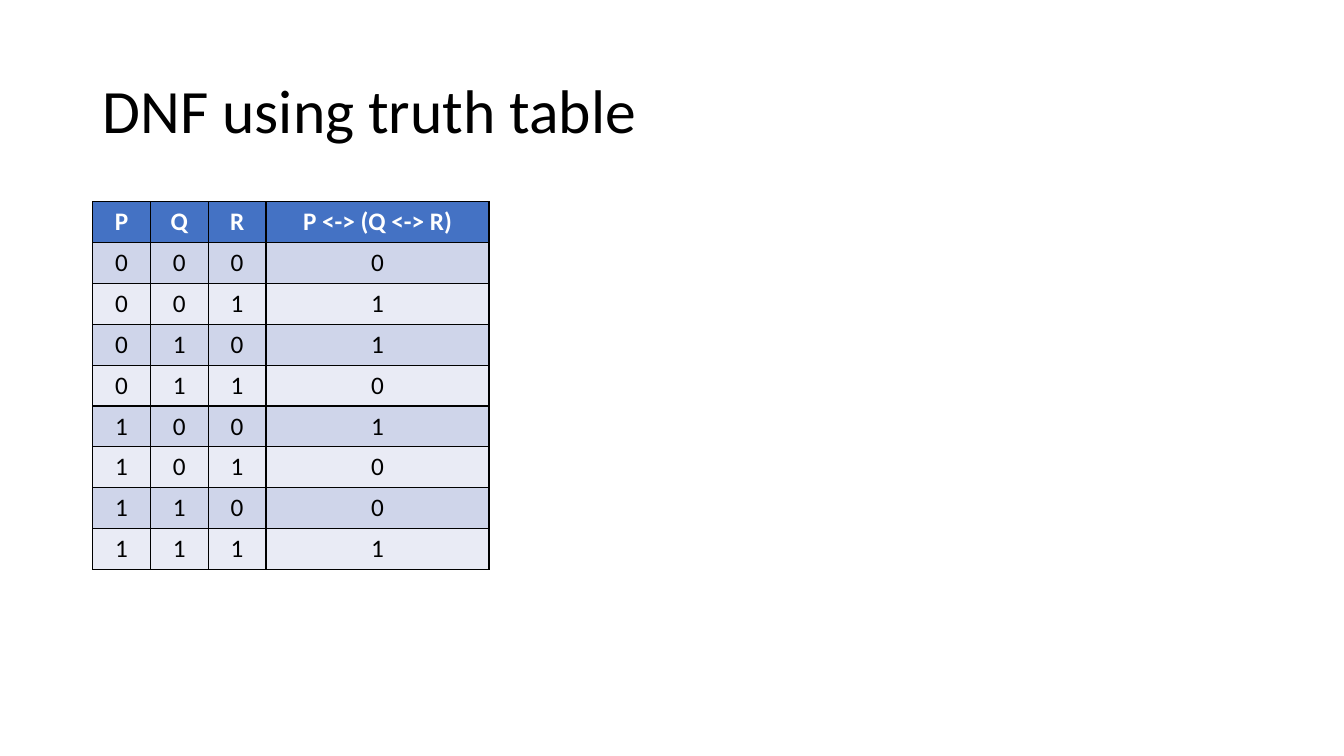
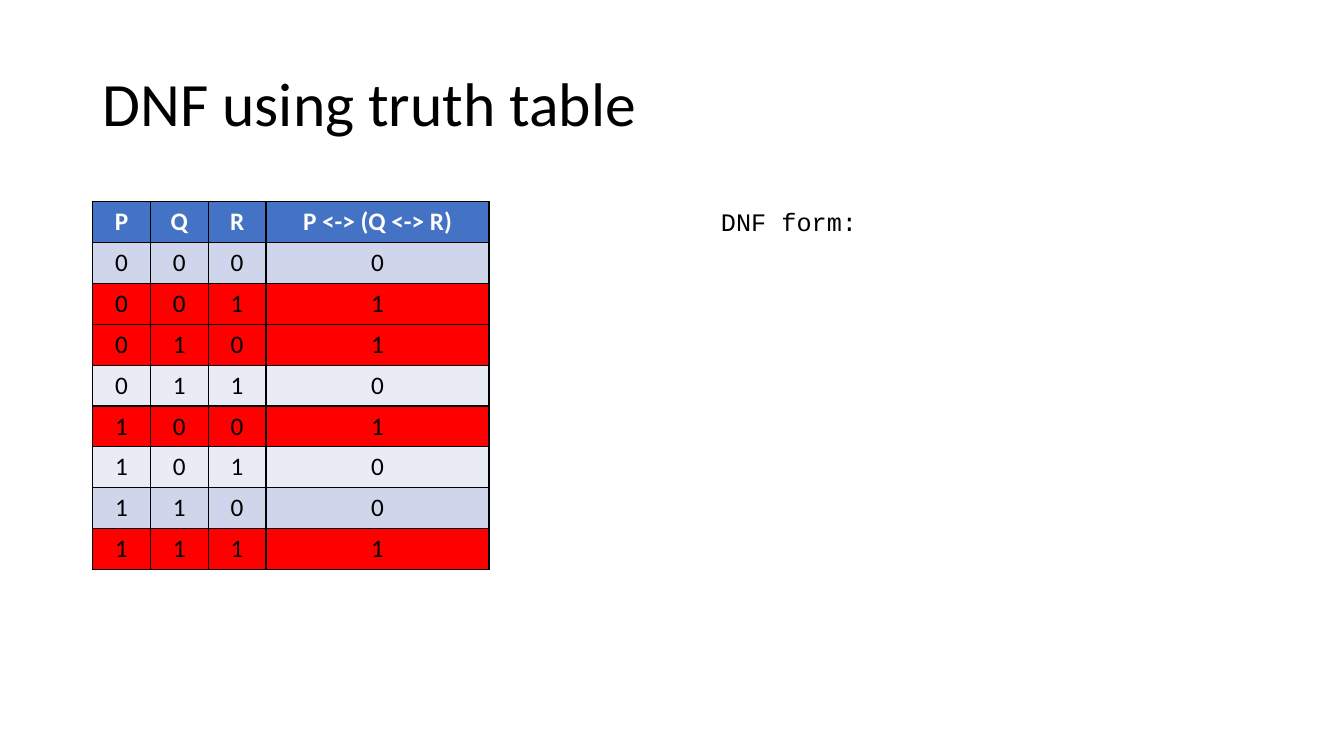
from dataclasses import dataclass
from itertools import product

from lxml.etree import SubElement
from pptx import Presentation
from pptx.dml.color import RGBColor
from pptx.enum.text import MSO_ANCHOR, PP_ALIGN
from pptx.oxml.ns import qn
from pptx.util import Inches, Pt


@dataclass(frozen=True)
class Theme:
    text: str = "000000"
    header_text: str = "FFFFFF"
    header_fill: str = "4472C4"
    odd_row: str = "CFD5EA"
    even_row: str = "E9EBF5"
    highlight: str = "FF0000"
    border: str = "000000"
    border_width: float = 1
    body_font: str = "Calibri"
    code_font: str = "Courier New"
    title_size: int = 44
    body_size: int = 18


THEME = Theme()
SLIDE_WIDTH, SLIDE_HEIGHT = Inches(13.33), Inches(7.5)

# Positions and sizes are percentages of the slide's width or height.
LEFT = 6.9
TITLE_WIDTH, TITLE_HEIGHT = 86.27, 19.33
CONTENT_TOP = 26.67
TABLE_HEIGHT = 48.67
COLUMN_WIDTHS = (4.3, 4.3, 4.3, 16.6)
NOTE_LEFT, NOTE_WIDTH, NOTE_HEIGHT = 52.9, 40.2, 5.33

HEADER = ("P", "Q", "R", "P <-> (Q <-> R)")
TRUTH_ROWS = [(p, q, r, int(p == (q == r))) for p, q, r in product((0, 1), repeat=3)]


def across(percent):
    return round(SLIDE_WIDTH * percent / 100)


def down(percent):
    return round(SLIDE_HEIGHT * percent / 100)


def style_runs(paragraph, size, font=THEME.body_font, color=THEME.text, bold=False):
    for run in paragraph.runs:
        run.font.name = font
        run.font.size = Pt(size)
        run.font.bold = bold
        run.font.color.rgb = RGBColor.from_string(color)


def add_text(slide, text, left, top, width, height, size, font=THEME.body_font):
    shape = slide.shapes.add_textbox(across(left), down(top), across(width), down(height))
    text_frame = shape.text_frame
    text_frame.word_wrap = True
    text_frame.text = text
    style_runs(text_frame.paragraphs[0], size, font)
    return text_frame


def add_title(slide, text, top):
    text_frame = add_text(slide, text, LEFT, top, TITLE_WIDTH, TITLE_HEIGHT, THEME.title_size)
    text_frame.vertical_anchor = MSO_ANCHOR.MIDDLE
    text_frame.paragraphs[0].line_spacing = 0.9


def add_borders(cell):
    properties = cell._tc.get_or_add_tcPr()
    for position, side in enumerate(("lnL", "lnR", "lnT", "lnB")):
        line = SubElement(properties, qn(f"a:{side}"), w=str(Pt(THEME.border_width)))
        fill = SubElement(line, qn("a:solidFill"))
        SubElement(fill, qn("a:srgbClr"), val=THEME.border)
        properties.insert(position, line)  # borders must precede the cell's fill


def fill_cell(cell, value, fill, color=THEME.text, bold=False):
    cell.text_frame.text = str(value)
    paragraph = cell.text_frame.paragraphs[0]
    paragraph.alignment = PP_ALIGN.CENTER
    style_runs(paragraph, THEME.body_size, color=color, bold=bold)
    cell.fill.solid()
    cell.fill.fore_color.rgb = RGBColor.from_string(fill)
    add_borders(cell)


def add_truth_table(slide, highlight_true):
    row_count = len(TRUTH_ROWS) + 1
    table = slide.shapes.add_table(
        row_count, len(HEADER), across(LEFT), down(CONTENT_TOP),
        across(sum(COLUMN_WIDTHS)), down(TABLE_HEIGHT)).table
    table.horz_banding = False
    for column, width in zip(table.columns, COLUMN_WIDTHS):
        column.width = across(width)
    for row in table.rows:
        row.height = down(TABLE_HEIGHT / row_count)
    for column, name in enumerate(HEADER):
        fill_cell(table.cell(0, column), name, THEME.header_fill, THEME.header_text, bold=True)
    for row, values in enumerate(TRUTH_ROWS, start=1):
        fill = THEME.odd_row if row % 2 else THEME.even_row
        if highlight_true and values[-1]:
            fill = THEME.highlight
        for column, value in enumerate(values):
            fill_cell(table.cell(row, column), value, fill)


def add_truth_slide(presentation, title_top, highlight_true=False):
    slide = presentation.slides.add_slide(presentation.slide_layouts[6])
    add_title(slide, "DNF using truth table", title_top)
    add_truth_table(slide, highlight_true)
    return slide


def main():
    presentation = Presentation()
    presentation.slide_width, presentation.slide_height = SLIDE_WIDTH, SLIDE_HEIGHT
    add_truth_slide(presentation, title_top=5.33)
    slide = add_truth_slide(presentation, title_top=4.4, highlight_true=True)
    add_text(slide, "DNF form:", NOTE_LEFT, CONTENT_TOP, NOTE_WIDTH, NOTE_HEIGHT,
             THEME.body_size, THEME.code_font)
    presentation.save("out.pptx")


if __name__ == "__main__":
    main()
